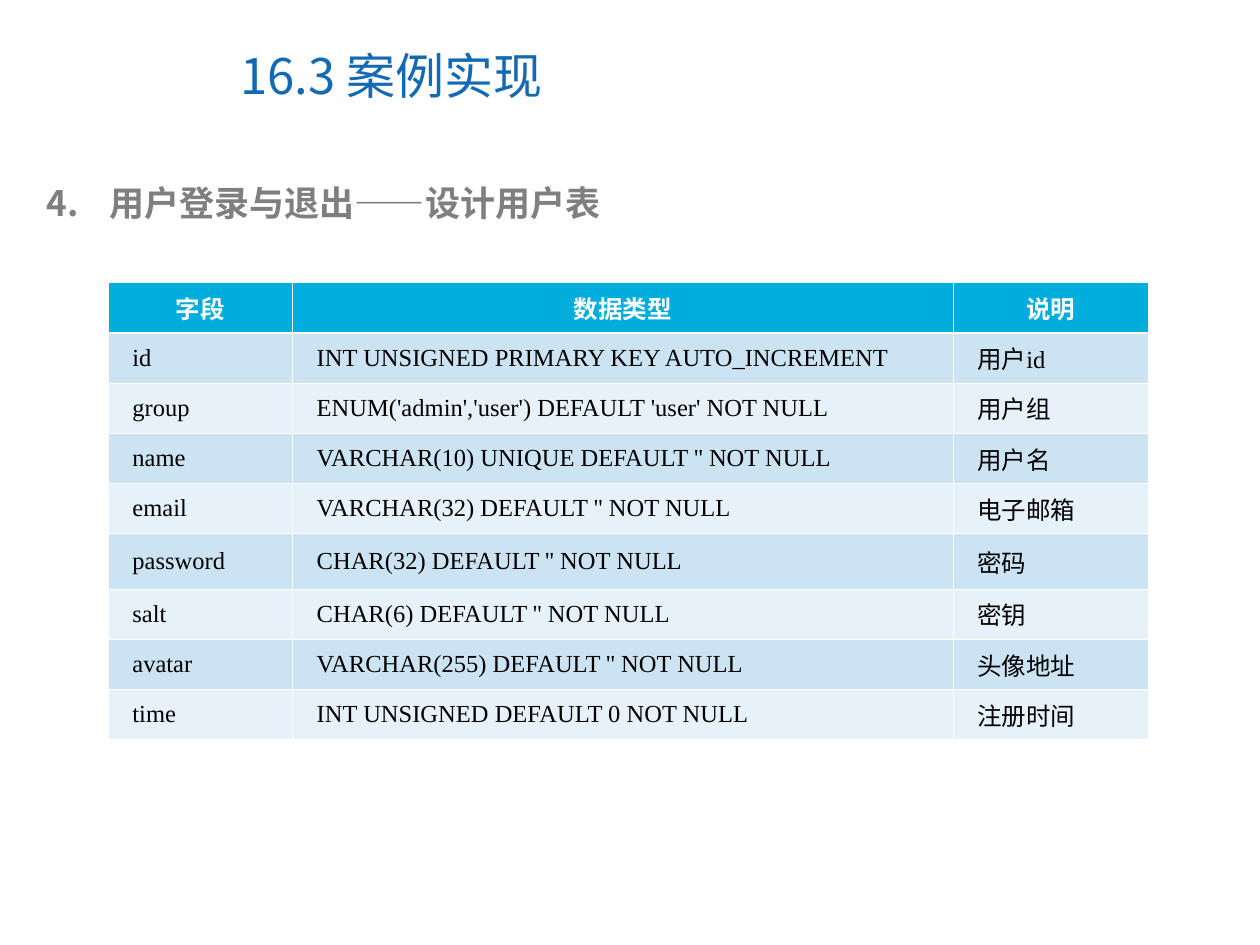
import pptx
import pptx.dml.color
import pptx.enum.text
import pptx.oxml.ns
import pptx.util
from lxml import etree

Pt = pptx.util.Pt
Align = pptx.enum.text.PP_ALIGN
Anchor = pptx.enum.text.MSO_ANCHOR
qn = pptx.oxml.ns.qn

# Content
TITLE = "16.3 案例实现"
HEADING = "用户登录与退出——设计用户表"
HEADING_NUMBER = 4
HEADER = ("字段", "数据类型", "说明")
FIELDS = [
    ("id", "INT UNSIGNED PRIMARY KEY AUTO_INCREMENT", "用户id"),
    ("group", "ENUM('admin','user') DEFAULT 'user' NOT NULL", "用户组"),
    ("name", "VARCHAR(10) UNIQUE DEFAULT '' NOT NULL", "用户名"),
    ("email", "VARCHAR(32) DEFAULT '' NOT NULL", "电子邮箱"),
    ("password", "CHAR(32) DEFAULT '' NOT NULL", "密码"),
    ("salt", "CHAR(6) DEFAULT '' NOT NULL", "密钥"),
    ("avatar", "VARCHAR(255) DEFAULT '' NOT NULL", "头像地址"),
    ("time", "INT UNSIGNED DEFAULT 0 NOT NULL", "注册时间"),
]

THEME = {
    "cjk": "Noto Sans CJK SC", "latin": "Times New Roman",
    "title": "1369B2", "heading": "7F7F7F", "text": "000000", "white": "FFFFFF",
    "header": "00ADDC", "bands": ("CBE3F2", "E7F1F9"),
    "title_size": 28, "heading_size": 20, "table_size": 14,
    "thin": 0.45, "thick": 1.47,
}

# Layout in points
TITLE_AREA = (130.3, 12.2, 371.5, 61.2)
HEADING_AREA = (19.4, 100, 664, 31.7)
TABLE_LEFT, TABLE_TOP = 61.8, 161.5
COLUMN_WIDTHS = (105.3, 377.5, 111.7)
ROW_HEIGHT, TALL_ROW_HEIGHT = 28.7, 31.7
TALL_FIELD = "password"


def color(name):
    return pptx.dml.color.RGBColor.from_string(name)


def write(frame, text, *, size, ink, font, bold=False, align=Align.LEFT,
          indent=0, hanging=0, number=None):
    para = frame.paragraphs[0]
    para.alignment = align
    para.space_before = Pt(0)
    properties = para._p.get_or_add_pPr()
    properties.set("marL", str(Pt(indent)))
    properties.set("indent", str(Pt(-hanging)))
    if number is not None:
        etree.SubElement(properties, qn("a:buFont"), typeface="+mj-lt")
        etree.SubElement(properties, qn("a:buAutoNum"),
                         type="arabicPeriod", startAt=str(number))
    span = para.add_run()
    span.text = text
    span.font.size = Pt(size)
    span.font.bold = bold
    span.font.color.rgb = color(ink)
    span.font.name = font
    east_asian = etree.Element(qn("a:ea"), typeface=THEME["cjk"])
    span._r.rPr.find(qn("a:latin")).addnext(east_asian)


def place(box, area):
    box.left, box.top, box.width, box.height = map(Pt, area)
    box.text_frame.word_wrap = True


def set_borders(cell, top, bottom):
    thin = THEME["thin"]
    sides = {"lnL": thin, "lnR": thin, "lnT": top, "lnB": bottom}
    for side, width in sides.items():
        line = etree.SubElement(cell._tc.get_or_add_tcPr(), qn("a:" + side),
                                w=str(Pt(width)))
        fill = etree.SubElement(line, qn("a:solidFill"))
        etree.SubElement(fill, qn("a:srgbClr"), val=THEME["white"])


deck = pptx.Presentation()
deck.slide_width, deck.slide_height = Pt(720), Pt(540)
page = deck.slides.add_slide(deck.slide_layouts[1])

# Title
title = page.shapes.title
place(title, TITLE_AREA)
title.text_frame.vertical_anchor = Anchor.MIDDLE
write(title.text_frame, TITLE, size=THEME["title_size"], ink=THEME["title"],
      font=THEME["cjk"])

# Numbered heading
heading = page.placeholders[1]
place(heading, HEADING_AREA)
heading.text_frame.auto_size = pptx.enum.text.MSO_AUTO_SIZE.SHAPE_TO_FIT_TEXT
write(heading.text_frame, HEADING, size=THEME["heading_size"],
      ink=THEME["heading"], font=THEME["cjk"], bold=True,
      indent=36, hanging=36, number=HEADING_NUMBER)

# User table
rows = [HEADER] + FIELDS
heights = [TALL_ROW_HEIGHT if row[0] == TALL_FIELD else ROW_HEIGHT for row in rows]
table = page.shapes.add_table(
    len(rows), len(HEADER), Pt(TABLE_LEFT), Pt(TABLE_TOP),
    Pt(sum(COLUMN_WIDTHS)), Pt(sum(heights))).table
for column, width in zip(table.columns, COLUMN_WIDTHS):
    column.width = Pt(width)

for r, (row, height) in enumerate(zip(rows, heights)):
    table.rows[r].height = Pt(height)
    is_header = r == 0
    band = THEME["header"] if is_header else THEME["bands"][(r - 1) % 2]
    for c, text in enumerate(row):
        cell = table.cell(r, c)
        cell.vertical_anchor = Anchor.MIDDLE
        cell.margin_left = cell.margin_right = Pt(5.4)
        cell.margin_top = cell.margin_bottom = Pt(3.6)
        set_borders(cell, top=THEME["thick" if r == 1 else "thin"],
                    bottom=THEME["thick" if is_header else "thin"])
        cell.fill.solid()
        cell.fill.fore_color.rgb = color(band)
        write(cell.text_frame, text, size=THEME["table_size"],
              ink=THEME["white" if is_header else "text"],
              font=THEME["latin"], bold=is_header,
              align=Align.CENTER if is_header else Align.JUSTIFY,
              indent=0 if is_header else 8.5)

deck.save("out.pptx")
